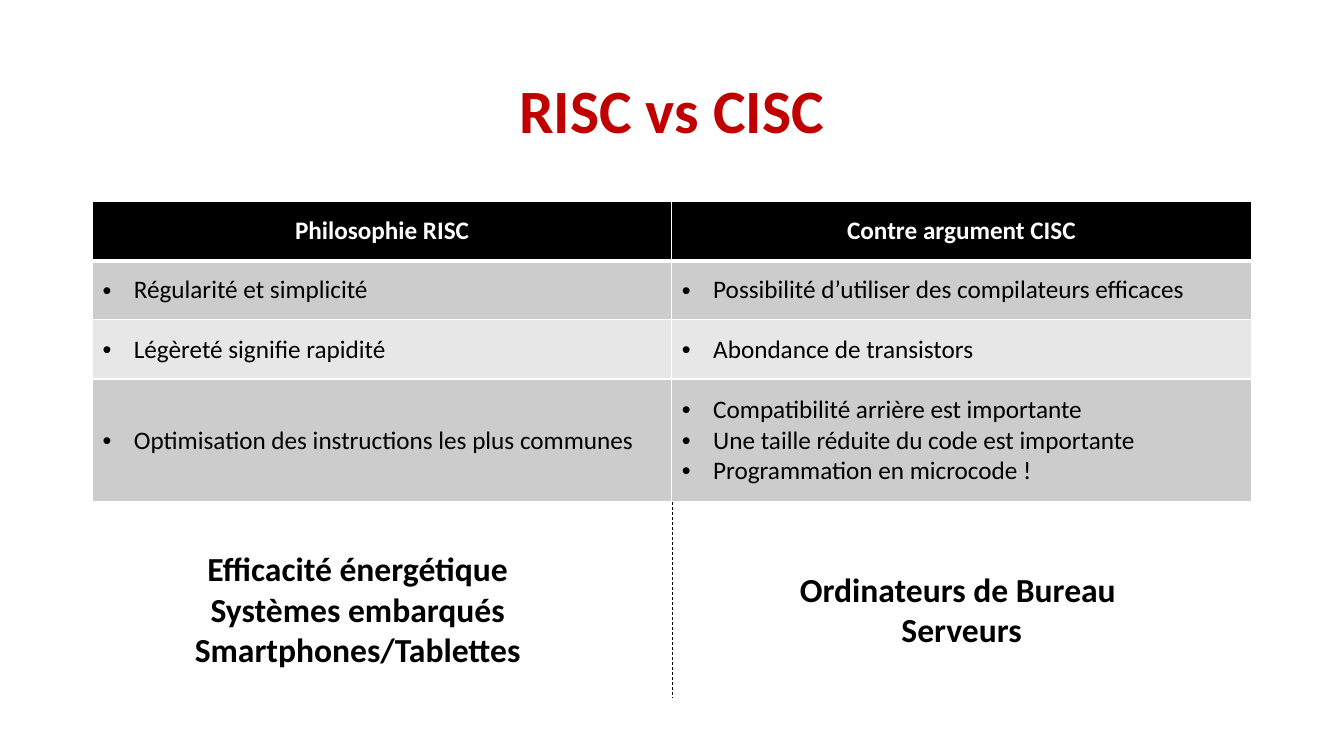
from dataclasses import dataclass

from lxml.etree import SubElement
from pptx import Presentation
from pptx.dml.color import RGBColor
from pptx.enum.dml import MSO_LINE_DASH_STYLE as Dash
from pptx.enum.shapes import MSO_CONNECTOR as Connector
from pptx.enum.text import MSO_ANCHOR as Anchor, PP_ALIGN as Align
from pptx.oxml import parse_xml
from pptx.oxml.ns import nsdecls, qn
from pptx.util import Cm, Pt

RED, BLACK, WHITE = "C00000", "000000", "FFFFFF"
DARK_BAND, LIGHT_BAND = "CCCCCC", "E7E7E7"
SLIDE_WIDTH, SLIDE_HEIGHT = 33.87, 19.05
TABLE_LEFT, TABLE_TOP, COLUMN_WIDTH = 2.33, 5.08, 14.6
BULLET_INDENT = Cm(0.79)


@dataclass
class TextBlock:
    lines: list[str]
    left: float
    top: float
    width: float
    height: float
    size: int = 24
    color: str = BLACK
    anchor: Anchor = Anchor.TOP
    spacing: float = 1.0


@dataclass
class TableRow:
    cells: list[list[str]]
    height: float
    fill: str
    header: bool = False


TEXT_BLOCKS = [
    TextBlock(["RISC vs CISC"], TABLE_LEFT, 1.01, 2 * COLUMN_WIDTH, 3.68, 44, RED, Anchor.MIDDLE, 0.9),
    TextBlock(["Efficacité énergétique", "Systèmes embarqués", "Smartphones/Tablettes"],
              4.38, 13.69, 9.27, 3.33),
    TextBlock(["Ordinateurs de Bureau ", "Serveurs"], 19.64, 14.2, 9.19, 2.31),
]

TABLE_ROWS = [
    TableRow([["Philosophie RISC"], ["Contre argument CISC"]], 1.49, BLACK, header=True),
    TableRow([["Régularité et simplicité"],
              ["Possibilité d’utiliser des compilateurs efficaces"]], 1.49, DARK_BAND),
    TableRow([["Légèreté signifie rapidité"], ["Abondance de transistors"]], 1.49, LIGHT_BAND),
    TableRow([["Optimisation des instructions les plus communes"],
              ["Compatibilité arrière est importante",
               "Une taille réduite du code est importante",
               "Programmation en microcode !"]], 3.1, DARK_BAND),
]


def rgb(value: str) -> RGBColor:
    return RGBColor.from_string(value)


def write_lines(frame, lines: list[str], size: int, color: str, bold: bool) -> None:
    font_format = {"name": "Calibri", "size": Pt(size), "bold": bold}
    for index, line in enumerate(lines):
        paragraph = frame.paragraphs[0] if index == 0 else frame.add_paragraph()
        run = paragraph.add_run()
        run.text = line
        for name, value in font_format.items():
            setattr(run.font, name, value)
        run.font.color.rgb = rgb(color)


def add_text(slide, block: TextBlock) -> None:
    shape = slide.shapes.add_textbox(Cm(block.left), Cm(block.top), Cm(block.width), Cm(block.height))
    frame = shape.text_frame
    frame.word_wrap = True
    frame.vertical_anchor = block.anchor
    write_lines(frame, block.lines, block.size, block.color, True)
    for paragraph in frame.paragraphs:
        paragraph.alignment = Align.CENTER
        paragraph.line_spacing = block.spacing


def add_bullet(paragraph) -> None:
    properties = paragraph._p.get_or_add_pPr()
    properties.set("marL", str(BULLET_INDENT))
    properties.set("indent", str(-BULLET_INDENT))
    SubElement(properties, qn("a:buFont"), typeface="Arial")
    SubElement(properties, qn("a:buChar"), char="•")


def set_borders(cell, widths: dict[str, int]) -> None:
    properties = cell._tc.get_or_add_tcPr()
    for index, (side, width) in enumerate(widths.items()):
        properties.insert(index, parse_xml(
            f'<a:ln{side} {nsdecls("a")} w="{Pt(width)}"><a:solidFill>'
            f'<a:srgbClr val="{WHITE}"/></a:solidFill></a:ln{side}>'))


def fill_cell(cell, lines: list[str], row: TableRow, top_border: int) -> None:
    cell.vertical_anchor = Anchor.MIDDLE
    cell.fill.solid()
    cell.fill.fore_color.rgb = rgb(row.fill)
    set_borders(cell, {"L": 1, "R": 1, "T": top_border, "B": 3 if row.header else 1})
    write_lines(cell.text_frame, lines, 18, WHITE if row.header else BLACK, row.header)
    for paragraph in cell.text_frame.paragraphs:
        if row.header:
            paragraph.alignment = Align.CENTER
        else:
            add_bullet(paragraph)


def add_comparison_table(slide, rows: list[TableRow]) -> None:
    height = sum(row.height for row in rows)
    table = slide.shapes.add_table(len(rows), 2, Cm(TABLE_LEFT), Cm(TABLE_TOP),
                                   Cm(2 * COLUMN_WIDTH), Cm(height)).table
    for column in table.columns:
        column.width = Cm(COLUMN_WIDTH)
    for index, row in enumerate(rows):
        table.rows[index].height = Cm(row.height)
        for cell, lines in zip(table.rows[index].cells, row.cells):
            fill_cell(cell, lines, row, 3 if index == 1 else 1)


def add_divider(slide, top: float, bottom: float) -> None:
    center = Cm(SLIDE_WIDTH / 2)
    divider = slide.shapes.add_connector(Connector.STRAIGHT, center, Cm(top), center, Cm(bottom))
    divider.line.color.rgb = rgb(BLACK)
    for name, value in {"width": Pt(0.5), "dash_style": Dash.DASH}.items():
        setattr(divider.line, name, value)
    SubElement(divider._element.spPr, qn("a:effectLst"))


def main() -> None:
    presentation = Presentation()
    presentation.slide_width, presentation.slide_height = Cm(SLIDE_WIDTH), Cm(SLIDE_HEIGHT)
    slide = presentation.slides.add_slide(presentation.slide_layouts[6])

    # Title, then the conclusions under each column
    for block in TEXT_BLOCKS:
        add_text(slide, block)

    # Comparison table and the line that extends its middle border
    add_comparison_table(slide, TABLE_ROWS)
    table_bottom = TABLE_TOP + sum(row.height for row in TABLE_ROWS)
    add_divider(slide, table_bottom, 17.6)

    presentation.save("out.pptx")


if __name__ == "__main__":
    main()
